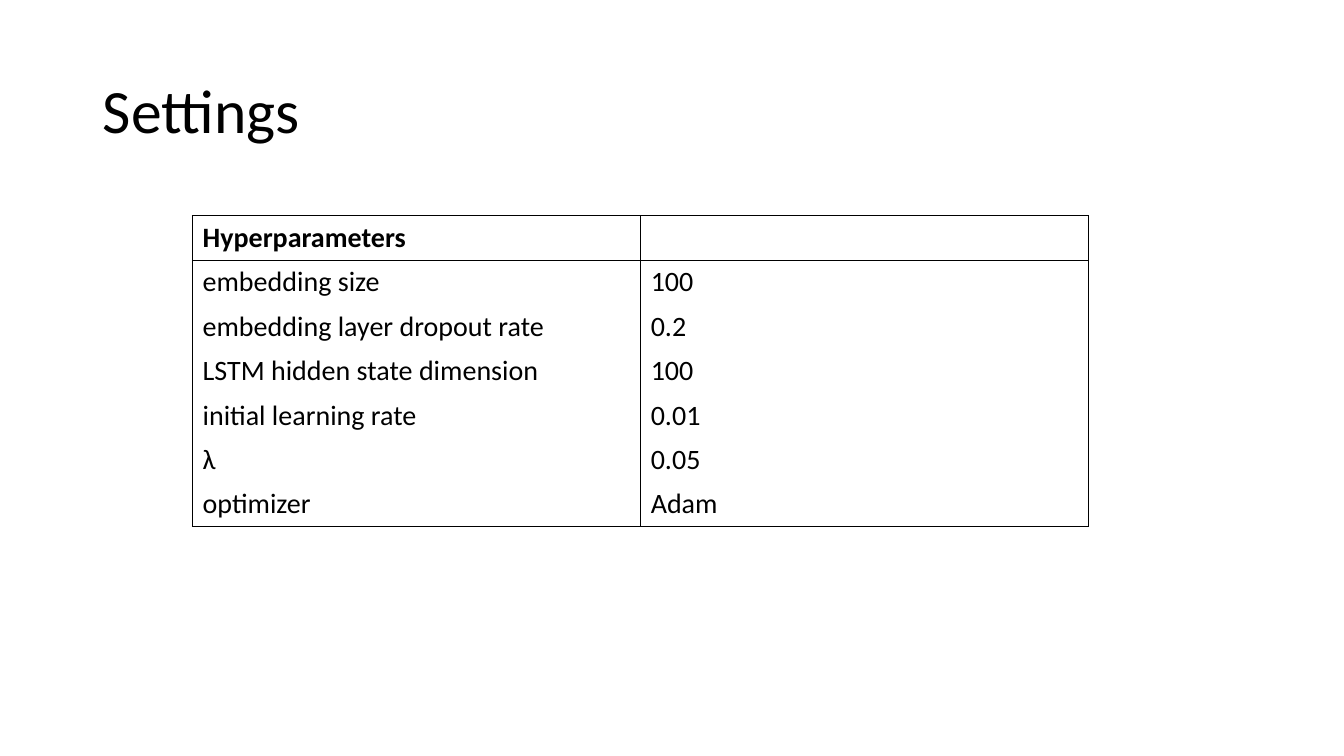
from lxml import etree
from pptx import Presentation
from pptx import util as u
from pptx.dml.color import RGBColor
from pptx.enum import text
from pptx.oxml import ns

COLORS = {"ink": "000000", "paper": "FFFFFF"}
ROWS = [
    ("Hyperparameters", ""),
    ("embedding size", "100"),
    ("embedding layer dropout rate", "0.2"),
    ("LSTM hidden state dimension", "100"),
    ("initial learning rate", "0.01"),
    ("λ", "0.05"),
    ("optimizer", "Adam"),
]
COLUMN_WIDTH = 4.445
ROW_HEIGHT = 0.44


def write_text(frame, content, size, bold=False, align=text.PP_ALIGN.LEFT, spacing=1.0):
    paragraph = frame.paragraphs[0]
    paragraph.alignment = align
    paragraph.line_spacing = spacing
    paragraph.font.size = u.Pt(size)
    if content:
        run = paragraph.add_run()
        run.text = content
        run.font.name = "Calibri"
        run.font.size = u.Pt(size)
        run.font.bold = bold
        run.font.color.rgb = RGBColor.from_string(COLORS["ink"])


def set_borders(cell, drawn_sides):
    properties = cell._tc.get_or_add_tcPr()
    for index, side in enumerate("LRTB"):
        line = etree.Element(ns.qn(f"a:ln{side}"), w=str(u.Pt(1)))
        if side in drawn_sides:
            fill = etree.SubElement(line, ns.qn("a:solidFill"))
            etree.SubElement(fill, ns.qn("a:srgbClr"), val=COLORS["ink"])
        else:
            etree.SubElement(line, ns.qn("a:noFill"))
        properties.insert(index, line)


# Slide
presentation = Presentation()
presentation.slide_width = u.Inches(13.33)
presentation.slide_height = u.Inches(7.5)
slide = presentation.slides.add_slide(presentation.slide_layouts[5])
slide.background.fill.solid()
slide.background.fill.fore_color.rgb = RGBColor.from_string(COLORS["paper"])

# Title
title = slide.shapes.title
title.left, title.top = u.Inches(0.92), u.Inches(0.4)
title.width, title.height = u.Inches(11.5), u.Inches(1.45)
title.text_frame.auto_size = text.MSO_AUTO_SIZE.NONE
title.text_frame.vertical_anchor = text.MSO_ANCHOR.MIDDLE
write_text(title.text_frame, "Settings", 44, spacing=0.9)

# Hyperparameter table
table = slide.shapes.add_table(
    len(ROWS), 2, u.Inches(1.91), u.Inches(2.14),
    u.Inches(2 * COLUMN_WIDTH), u.Inches(len(ROWS) * ROW_HEIGHT)).table
table.horz_banding = False
table.first_row = False
for column in table.columns:
    column.width = u.Inches(COLUMN_WIDTH)

# Cells: vertical rules throughout, horizontal rules around the header and at the end
for row_index, values in enumerate(ROWS):
    table.rows[row_index].height = u.Inches(ROW_HEIGHT)
    sides = "LR"
    if row_index <= 1:
        sides += "T"
    if row_index in (0, len(ROWS) - 1):
        sides += "B"
    for column_index, value in enumerate(values):
        cell = table.cell(row_index, column_index)
        cell.fill.background()
        set_borders(cell, sides)
        write_text(cell.text_frame, value, 20, bold=row_index == 0)

presentation.save("out.pptx")
